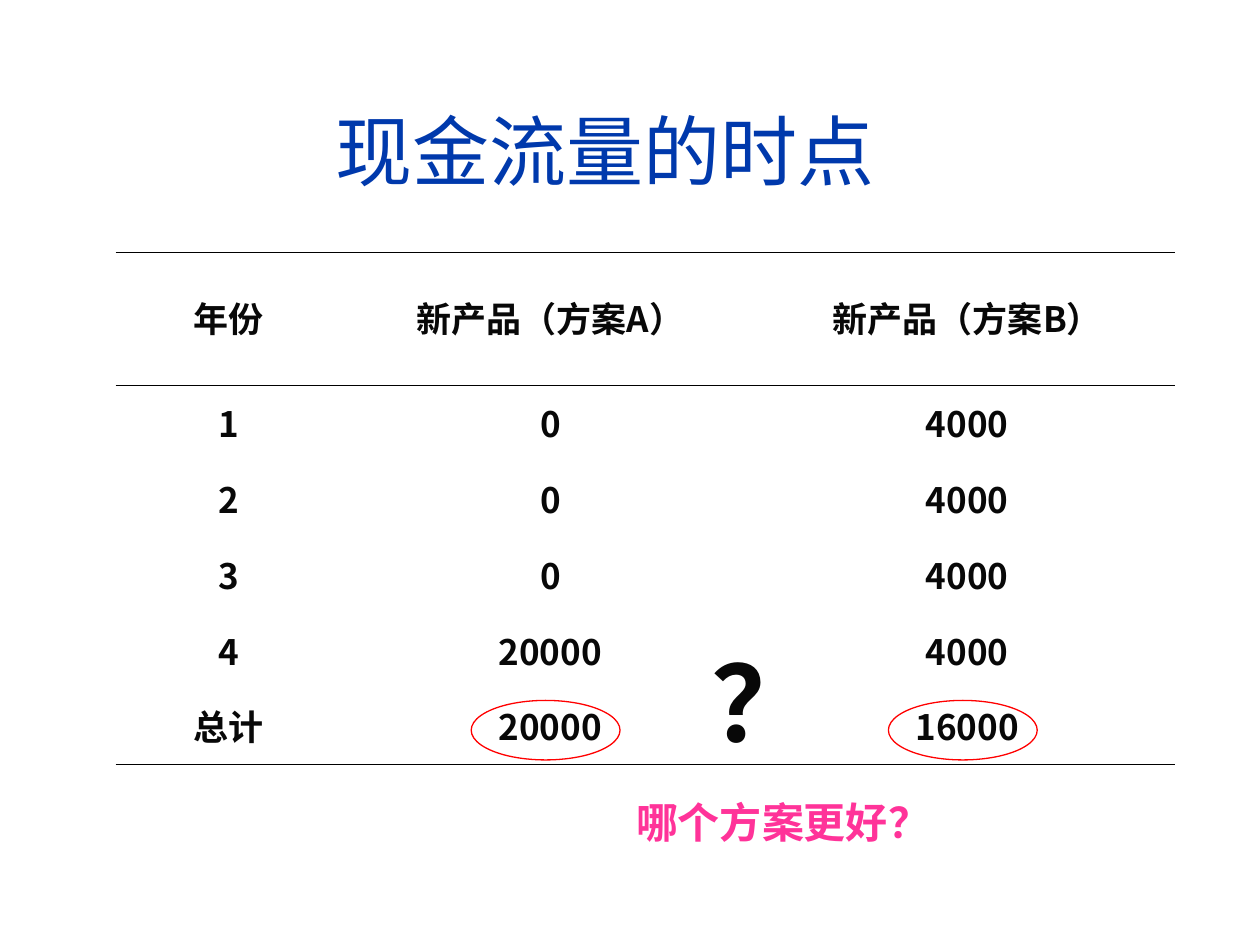
from dataclasses import dataclass

from lxml.etree import SubElement
from pptx import Presentation
from pptx.dml.color import RGBColor as RGB
from pptx.enum.shapes import MSO_SHAPE as Shape
from pptx.enum.text import MSO_ANCHOR as Anchor, PP_ALIGN as Align
from pptx.oxml.ns import qn
from pptx.util import Cm, Pt


@dataclass(frozen=True)
class Theme:
    blue: RGB = RGB(0x00, 0x39, 0xAC)
    ink: RGB = RGB(0x08, 0x08, 0x08)
    pink: RGB = RGB(0xFF, 0x33, 0x99)
    red: RGB = RGB(0xFF, 0x00, 0x00)
    rule: RGB = RGB(0x00, 0x00, 0x00)
    font: str = "Arial"
    table_font: str = "Noto Sans CJK SC"
    title: int = 44
    table: int = 20
    mark: int = 60
    question: int = 24


T = Theme()


def set_text(tf, text, size, color, font=T.font, bold=True, align=Align.CENTER):
    p = tf.paragraphs[0]
    p.text, p.alignment = text, align
    f = p.font
    f.name, f.size, f.bold = font, Pt(size), bold
    f.color.rgb = color
    return p


def set_borders(cell, ruled):
    """Rule the sides named in ruled and clear the others."""
    pr = cell._tc.get_or_add_tcPr()
    for side in "LRTB":
        ln = SubElement(pr, qn(f"a:ln{side}"), w=str(Pt(0.23)))
        if side in ruled:
            fill = SubElement(ln, qn("a:solidFill"))
            SubElement(fill, qn("a:srgbClr"), val=str(T.rule))
        else:
            SubElement(ln, qn("a:noFill"))


prs = Presentation()
prs.slide_width, prs.slide_height = Cm(25.4), Cm(19.05)
s = prs.slides.add_slide(prs.slide_layouts[6])

# Title
tf = s.shapes.add_textbox(Cm(2.41), Cm(1.96), Cm(19.58), Cm(2.13)).text_frame
tf.word_wrap, tf.vertical_anchor = True, Anchor.MIDDLE
set_text(tf, "现金流量的时点", T.title, T.blue, bold=False)

# Cash flow table, ruled above and below the header and under the total
rows = [
    ("年份", "新产品（方案A）", "新产品（方案B）"),
    ("1", "0", "4000"),
    ("2", "0", "4000"),
    ("3", "0", "4000"),
    ("4", "20000", "4000"),
    ("总计", "20000", "16000"),
]
rules = {0: "TB", 1: "T", len(rows) - 1: "B"}
table = s.shapes.add_table(len(rows), 3, Cm(2.33), Cm(5.08), Cm(21.36), Cm(10.33)).table
table.first_row = table.horz_banding = False
for col, width in zip(table.columns, (4.55, 8.43, 8.38)):
    col.width = Cm(width)
for i, values in enumerate(rows):
    table.rows[i].height = Cm(1.53 if i else 2.68)
    for j, value in enumerate(values):
        cell = table.cell(i, j)
        set_borders(cell, rules.get(i, ""))
        cell.fill.background()
        cell.vertical_anchor = Anchor.MIDDLE
        p = set_text(cell.text_frame, value, T.table, T.ink, T.table_font)
        p.line_spacing = 0.95

# Rings around the two totals
for left in (9.5, 17.91):
    sp = s.shapes.add_shape(Shape.OVAL, Cm(left), Cm(14.12), Cm(3), Cm(1.2))
    sp.shadow.inherit = False
    sp.fill.background()
    sp.line.color.rgb, sp.line.width = T.red, Pt(0.75)

# Question mark between the totals
tf = s.shapes.add_textbox(Cm(14.1), Cm(12.73), Cm(2.39), Cm(2.79)).text_frame
tf.word_wrap = True
set_text(tf, "？", T.mark, T.ink, align=Align.LEFT)

# Closing question
tf = s.shapes.add_textbox(Cm(12.09), Cm(15.93), Cm(7.39), Cm(1.27)).text_frame
tf.word_wrap = True
set_text(tf, "哪个方案更好？", T.question, T.pink)

prs.save("out.pptx")
